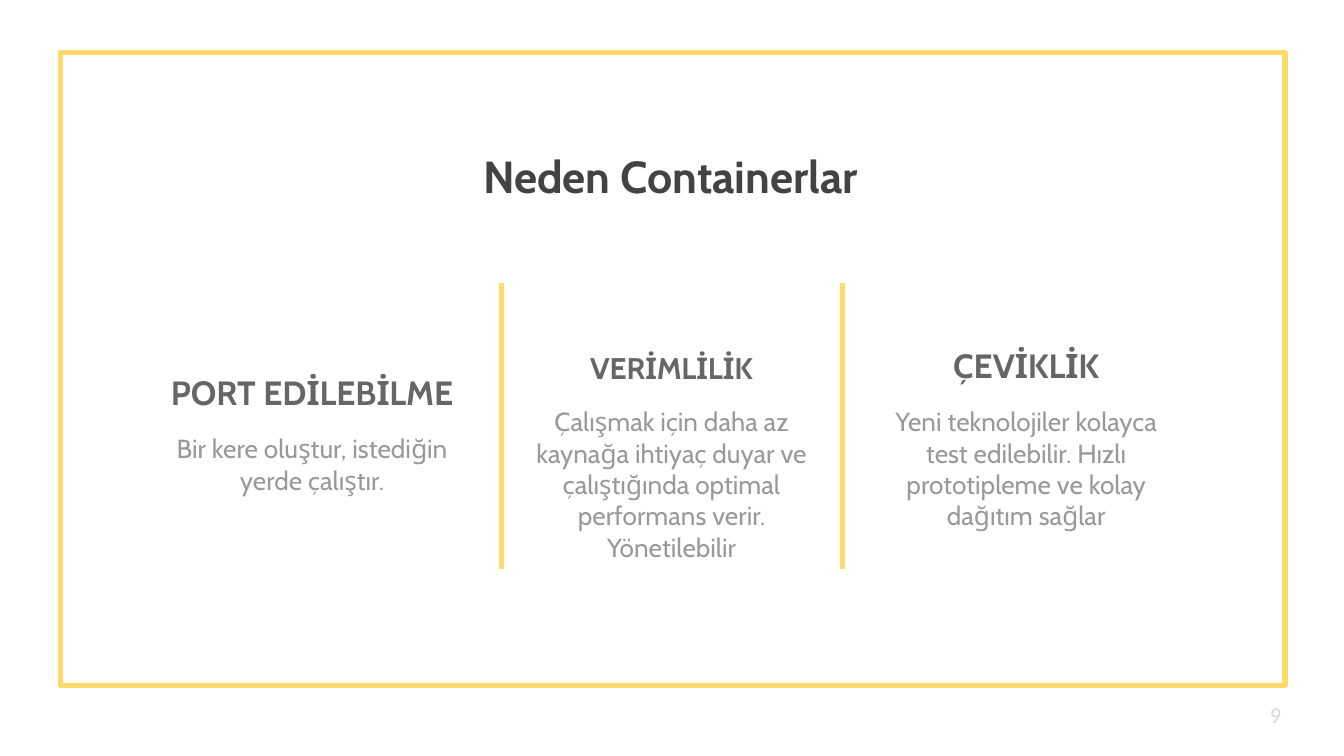
from lxml import etree
from pptx import Presentation
from pptx.dml.color import RGBColor
from pptx.enum.shapes import MSO_CONNECTOR as CONN, MSO_SHAPE as SHAPE
from pptx.enum.text import MSO_ANCHOR as ANCHOR, PP_ALIGN as ALIGN
from pptx.oxml.ns import qn
from pptx.util import Pt

COLORS = {"accent": "FFD969", "title": "434343", "heading": "666666",
          "body": "999999", "number": "D9D9D9"}
TITLE = "Neden Containerlar"
PAGE = "9"
COLUMNS = [
    {"heading": "PORT EDİLEBİLME", "size": 18, "center": 167.2, "top": 177.1,
     "body_width": 178.6,
     "body": "Bir kere oluştur, istediğin yerde çalıştır."},
    {"heading": "VERİMLİLİK", "size": 16, "center": 359.8, "top": 162.7,
     "body_width": 166.3,
     "body": "Çalışmak için daha az kaynağa ihtiyaç duyar ve çalıştığında "
             "optimal performans verir. Yönetilebilir"},
    {"heading": "ÇEVİKLİK", "size": 18, "center": 549.8, "top": 162.7,
     "body_width": 166.3,
     "body": "Yeni teknolojiler kolayca test edilebilir. Hızlı prototipleme "
             "ve kolay dağıtım sağlar"},
]
WIDTH, HEIGHT = 720, 405
FRAME = (32.4, 28.1, 655.9, 339.1)
HEAD_WIDTH, HEAD_HEIGHT, BODY_HEIGHT, BODY_OFFSET = 166.3, 51.1, 122.4, 47.5
DIVIDER_GAP, DIVIDER_TOP, DIVIDER_BOTTOM = 91.4, 151.9, 304.6
FORMATS = {
    "title": {"name": "Cabin", "size": Pt(24), "bold": True},
    "heading": {"name": "Cabin", "bold": True},
    "body": {"name": "Cabin", "size": Pt(14), "bold": False},
    "number": {"name": "Calibri", "size": Pt(12), "bold": False},
}


def color(key):
    return RGBColor.from_string(COLORS[key])


def style_line(line):
    line.color.rgb = color("accent")
    line.width = Pt(3)


def add_text(s, text, box, role, anchor=ANCHOR.TOP, align=ALIGN.CENTER, **extra):
    tf = s.shapes.add_textbox(*map(Pt, box)).text_frame
    frame = {"word_wrap": True, "vertical_anchor": anchor}
    for side in ("left", "right", "top", "bottom"):
        frame[f"margin_{side}"] = Pt(7.2)
    for key, value in frame.items():
        setattr(tf, key, value)
    p = tf.paragraphs[0]
    p.alignment = align
    r = p.add_run()
    r.text = text
    for key, value in {**FORMATS[role], **extra}.items():
        setattr(r.font, key, value)
    r.font.color.rgb = color(role)


def add_divider(s, x):
    sp = s.shapes.add_connector(CONN.STRAIGHT, Pt(x), Pt(DIVIDER_TOP),
                                Pt(x), Pt(DIVIDER_BOTTOM))
    style_line(sp.line)
    etree.SubElement(sp._element.spPr, qn("a:effectLst"))


def main():
    prs = Presentation()
    prs.slide_width, prs.slide_height = Pt(WIDTH), Pt(HEIGHT)
    s = prs.slides.add_slide(prs.slide_layouts[6])

    sp = s.shapes.add_shape(SHAPE.RECTANGLE, *map(Pt, FRAME))
    sp.shadow.inherit = False
    sp.fill.background()
    style_line(sp.line)
    etree.SubElement(sp.line._get_or_add_ln(), qn("a:round"))

    add_text(s, TITLE, (-0.7, 72.7, WIDTH, 38.2), "title")
    for side in (-1, 1):
        add_divider(s, WIDTH / 2 + side * DIVIDER_GAP)
    add_text(s, PAGE, (673.2, 367.2, 43.2, 31), "number", ANCHOR.MIDDLE, ALIGN.LEFT)

    for col in COLUMNS:
        center, top, width = col["center"], col["top"], col["body_width"]
        add_text(s, col["heading"],
                 (center - HEAD_WIDTH / 2, top, HEAD_WIDTH, HEAD_HEIGHT),
                 "heading", ANCHOR.BOTTOM, size=Pt(col["size"]))
        add_text(s, col["body"],
                 (center - width / 2, top + BODY_OFFSET, width, BODY_HEIGHT), "body")

    prs.save("out.pptx")


if __name__ == "__main__":
    main()
